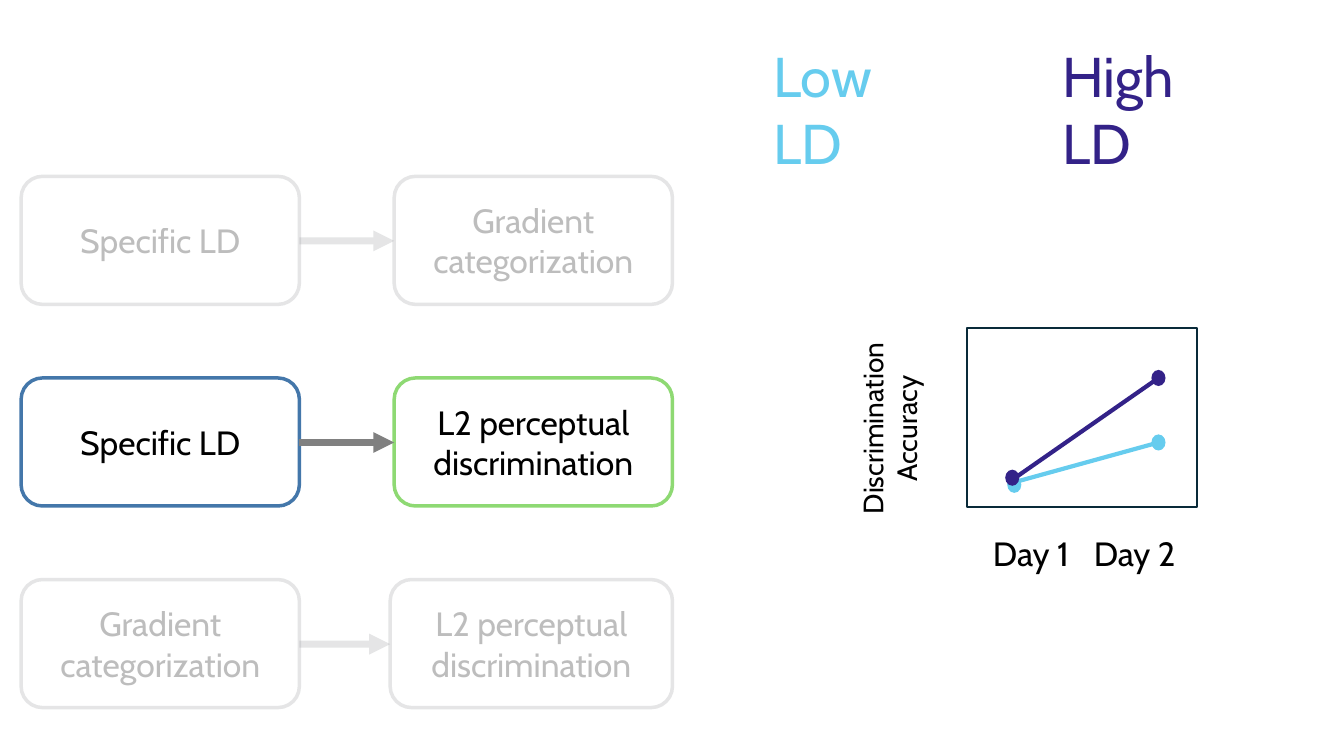
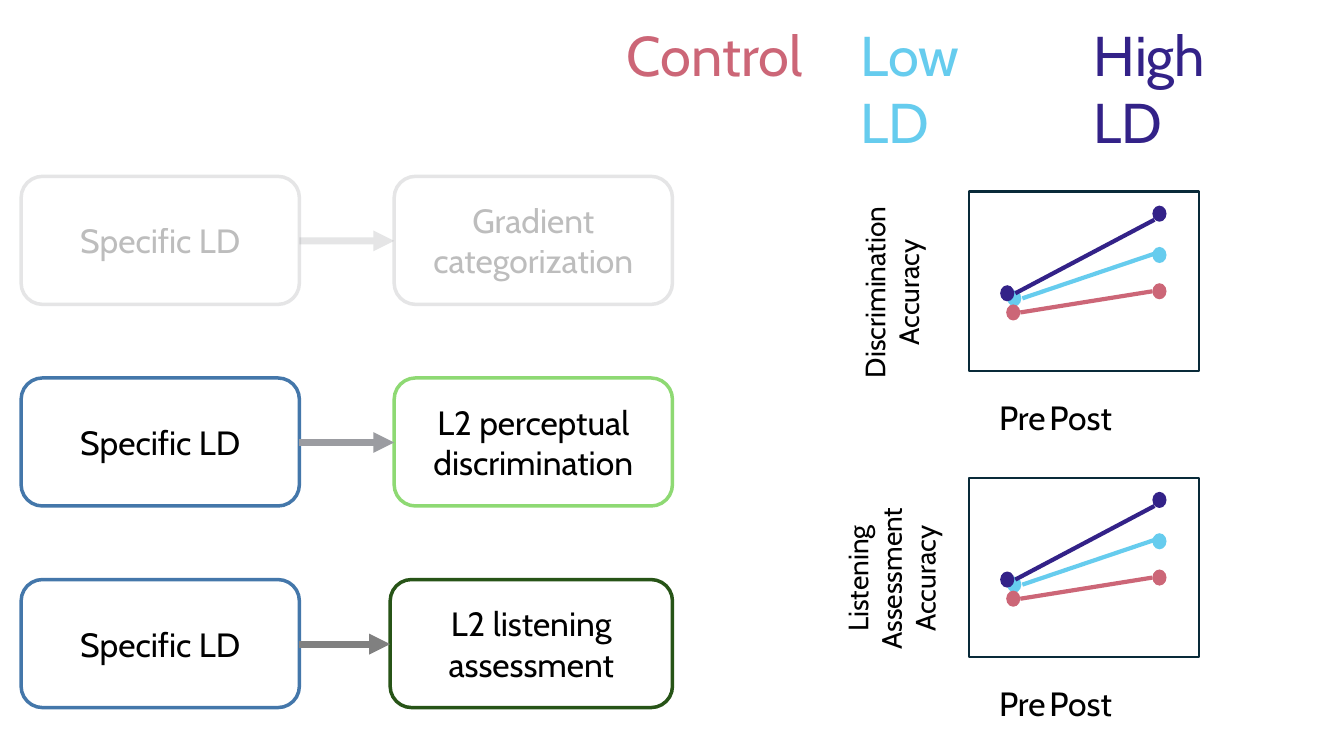
"""Builds two slides of predicted links between LD, categorization and L2 outcomes."""
from lxml.etree import SubElement
from pptx import Presentation
from pptx.dml.color import RGBColor
from pptx.enum.shapes import MSO_CONNECTOR, MSO_SHAPE
from pptx.enum.text import MSO_ANCHOR, PP_ALIGN
from pptx.oxml.ns import qn
from pptx.util import Inches, Pt

COLORS = {
    "text": "000000", "low": "66CCEE", "high": "332288", "control": "CC6677",
    "frame": "092A39", "faded": "9B9CA1", "arrow": "808080",
    "cause": "4477AA", "discrimination": "8ED973", "listening": "275417",
}
FONT = "Cabin"
FRAME_W, FRAME_H = 2.28, 1.78
DOT_W, DOT_H = 0.14, 0.16
BOX_LEFT, BOX_RIGHT, BOX_W, BOX_H = 0.21, 6.67, 2.76, 1.27
ROW_TOP, ROW_STEP = 1.75, 2


def write(shape, text, size, color, align=PP_ALIGN.LEFT):
    frame = shape.text_frame
    frame.word_wrap = True
    para = frame.paragraphs[0]
    para.alignment = align
    span = para.add_run()
    span.text = text
    span.font.name = FONT
    span.font.size = Pt(size)
    span.font.color.rgb = RGBColor.from_string(COLORS[color])


def draw_line(page, start, end, color, width):
    line = page.shapes.add_connector(
        MSO_CONNECTOR.STRAIGHT, *[Inches(value) for value in (*start, *end)])
    line.line.color.rgb = RGBColor.from_string(COLORS[color])
    line.line.width = Pt(width)
    SubElement(line._element.spPr, qn("a:effectLst"))
    return line


faded_row = ("Specific LD", "faded", "Gradient categorization", "faded", 3.91, "faded")
day_series = [
    ("low", (0.45, 1.54), (1.9, 1.14), (0.4, 1.48), (1.83, 1.06)),
    ("high", (0.45, 1.51), (1.9, 0.5), (0.38, 1.41), (1.83, 0.42)),
]
test_series = [
    ("low", (0.53, 1.06), (1.89, 0.6), (0.38, 0.98), (1.82, 0.55)),
    ("high", (0.46, 1.01), (1.84, 0.28), (0.31, 0.93), (1.82, 0.14)),
    ("control", (0.51, 1.2), (1.82, 0.99), (0.37, 1.12), (1.82, 0.91)),
]
slides = [
    {
        "headings": [("Low LD", "low", 7.57, 1.97), ("High LD", "high", 10.44, 2.09)],
        "heading_top": 0.36,
        "rows": [
            faded_row,
            ("Specific LD", "cause", "L2 perceptual discrimination", "discrimination",
             3.91, "arrow"),
            ("Gradient categorization", "faded", "L2 perceptual discrimination", "faded",
             3.87, "faded"),
        ],
        "plots": [(9.59, 3.25, "Discrimination Accuracy", 0.77,
                   "Day 1\tDay 2", 0.16, day_series)],
    },
    {
        "headings": [("Control", "control", 6.12, 2.32), ("Low LD", "low", 8.44, 1.97),
                     ("High LD", "high", 10.75, 2.09)],
        "heading_top": 0.15,
        "rows": [
            faded_row,
            ("Specific LD", "cause", "L2 perceptual discrimination", "discrimination",
             3.91, "faded"),
            ("Specific LD", "cause", "L2 listening assessment", "listening",
             3.87, "arrow"),
        ],
        "plots": [
            (9.61, 1.9, "Discrimination Accuracy", 0.77, "Pre\tPost", 0.2, test_series),
            (9.61, 4.74, "Listening Assessment Accuracy", 1.11, "Pre\tPost", 0.2,
             test_series),
        ],
    },
]

deck = Presentation()
deck.slide_width, deck.slide_height = Inches(13.33), Inches(7.5)

for content in slides:
    page = deck.slides.add_slide(deck.slide_layouts[6])

    for text, color, left, width in content["headings"]:
        heading = page.shapes.add_textbox(
            Inches(left), Inches(content["heading_top"]), Inches(width), Inches(0.77))
        heading.text_frame.margin_right = Inches(0.3)
        write(heading, text, 40, color)

    for index, row in enumerate(content["rows"]):
        cause, cause_color, effect, effect_color, effect_left, arrow_color = row
        top = ROW_TOP + index * ROW_STEP
        parts = []
        for text, color, left, width in (
                (cause, cause_color, BOX_LEFT, BOX_W),
                (effect, effect_color, effect_left, BOX_RIGHT - effect_left)):
            box = page.shapes.add_shape(
                MSO_SHAPE.ROUNDED_RECTANGLE, Inches(left), Inches(top),
                Inches(width), Inches(BOX_H))
            box.shadow.inherit = False
            box.fill.background()
            box.line.color.rgb = RGBColor.from_string(COLORS[color])
            box.line.width = Pt(2.5)
            box.text_frame.vertical_anchor = MSO_ANCHOR.MIDDLE
            write(box, text, 24, "text", PP_ALIGN.CENTER)
            parts.append(box)
        middle = top + 0.64
        arrow = draw_line(page, (BOX_LEFT + BOX_W, middle), (effect_left, middle),
                          arrow_color, 5)
        SubElement(arrow.line._get_or_add_ln(), qn("a:tailEnd"), type="triangle")
        parts.append(arrow)
        if cause_color == "faded":
            for part in parts:
                for tint in part._element.iter(qn("a:srgbClr")):
                    SubElement(tint, qn("a:alpha"), val="25000")

    for left, top, measure, measure_h, times, times_offset, series in content["plots"]:
        frame = page.shapes.add_shape(
            MSO_SHAPE.RECTANGLE, Inches(left), Inches(top),
            Inches(FRAME_W), Inches(FRAME_H))
        frame.shadow.inherit = False
        frame.fill.background()
        frame.line.color.rgb = RGBColor.from_string(COLORS["frame"])
        frame.line.width = Pt(1.5)

        measure_w = 2.07
        axis_label = page.shapes.add_textbox(
            Inches(left - 0.77 - measure_w / 2), Inches(top + 1 - measure_h / 2),
            Inches(measure_w), Inches(measure_h))
        axis_label.rotation = 270
        write(axis_label, measure, 20, "text", PP_ALIGN.CENTER)

        time_label = page.shapes.add_textbox(
            Inches(left + times_offset), Inches(top + 1.99), Inches(2.02), Inches(0.5))
        write(time_label, times, 24, "text")

        for color, start, end, *dots in series:
            draw_line(page, (left + start[0], top + start[1]),
                      (left + end[0], top + end[1]), color, 3)
            for x, y in dots:
                dot = page.shapes.add_shape(
                    MSO_SHAPE.OVAL, Inches(left + x), Inches(top + y),
                    Inches(DOT_W), Inches(DOT_H))
                dot.shadow.inherit = False
                dot.fill.solid()
                dot.fill.fore_color.rgb = RGBColor.from_string(COLORS[color])
                dot.line.fill.background()

deck.save("out.pptx")
